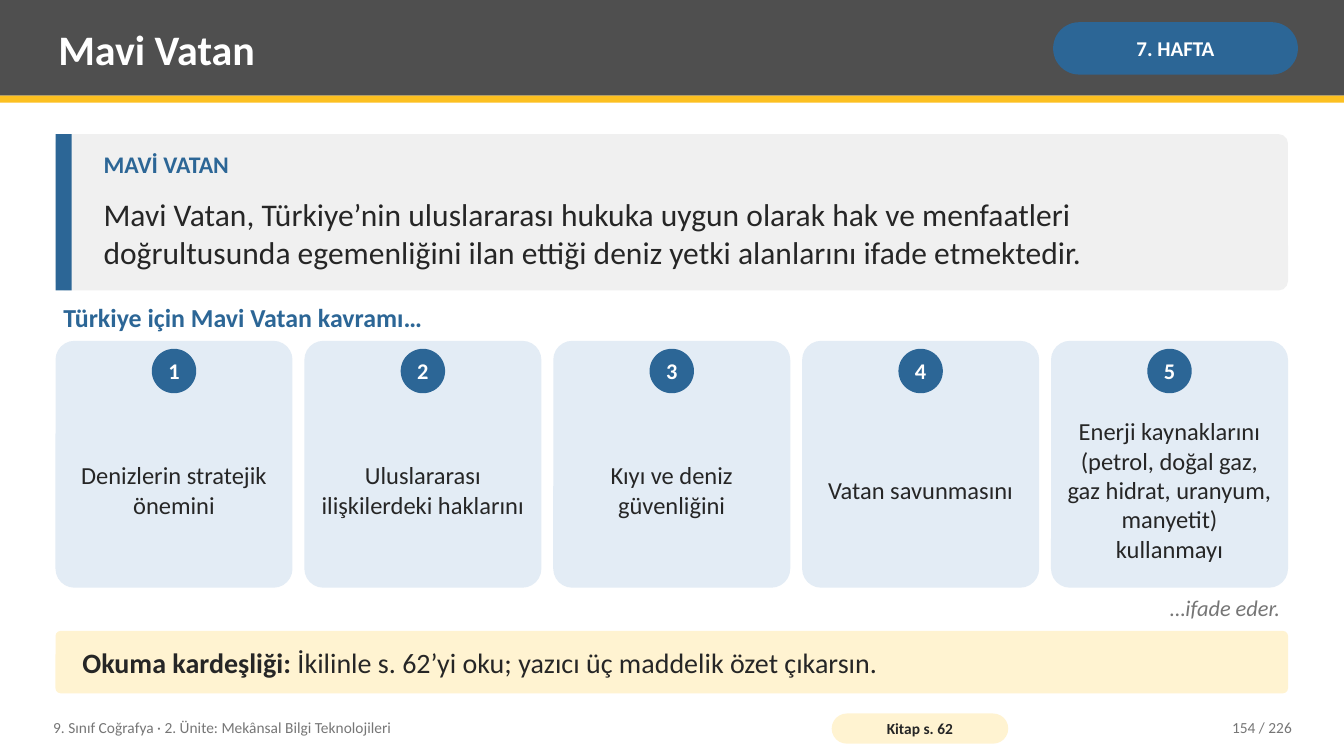
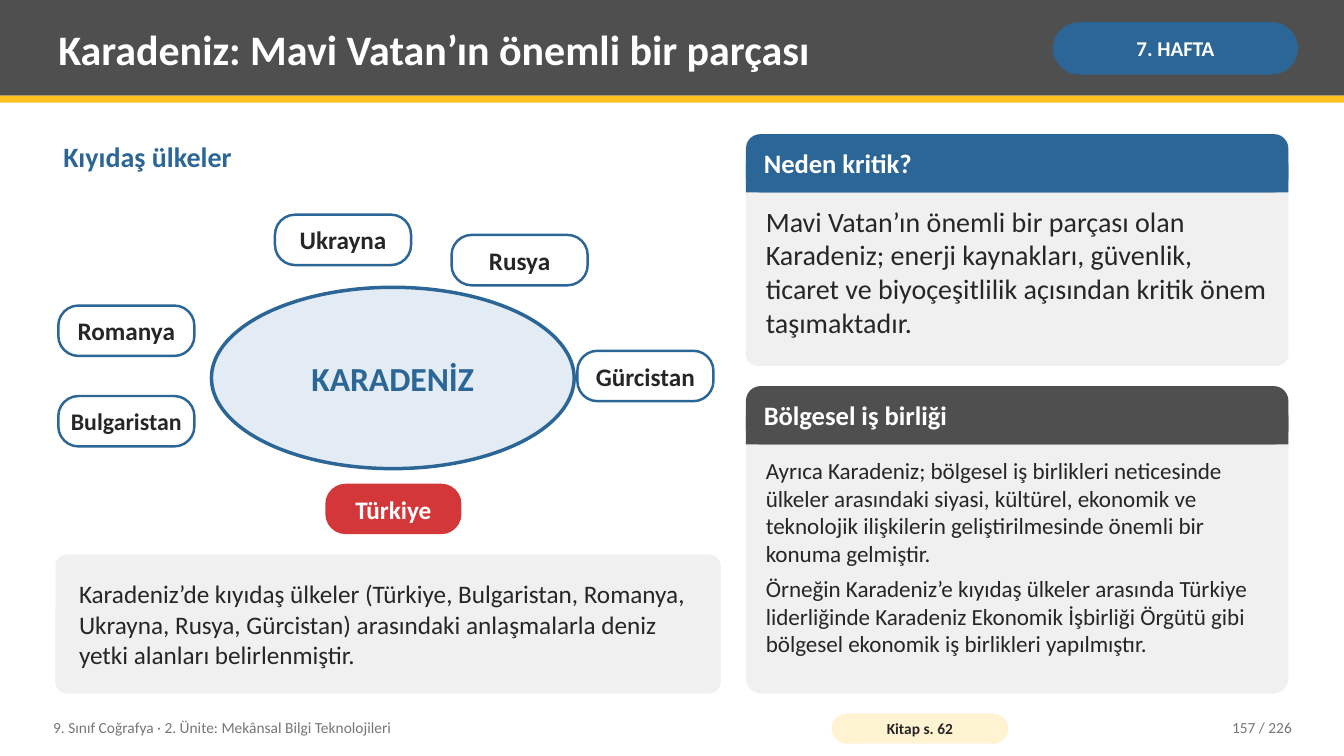
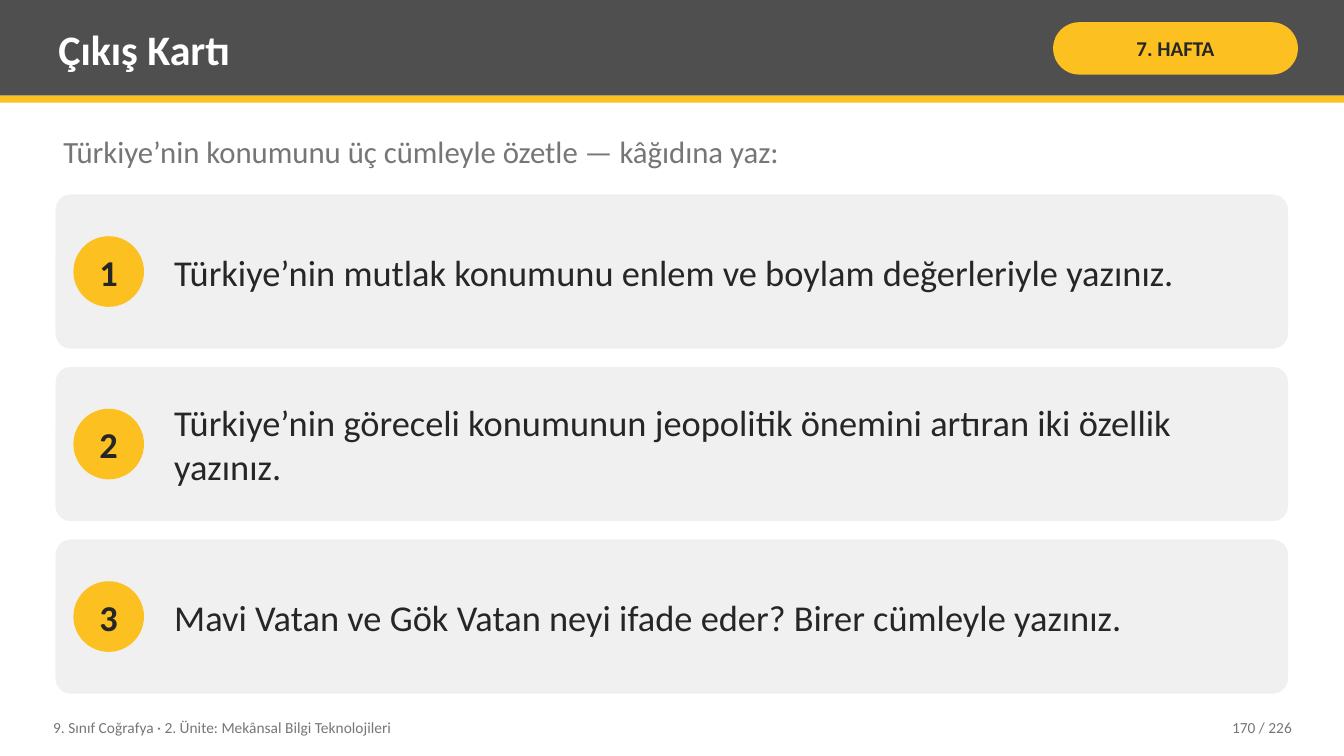
import pptx
import pptx.dml.color
import pptx.enum.shapes
import pptx.enum.text
import pptx.util

Cm = pptx.util.Cm
Pt = pptx.util.Pt
SHAPE = pptx.enum.shapes.MSO_SHAPE
ALIGN = pptx.enum.text.PP_ALIGN
ANCHOR = pptx.enum.text.MSO_ANCHOR

FONT = "Calibri"
COLORS = {
    "white": "FFFFFF",
    "ink": "262626",
    "muted": "767676",
    "charcoal": "4F4F4F",
    "blue": "2C6696",
    "pale_blue": "E3ECF5",
    "yellow": "FCC021",
    "cream": "FFF3D1",
    "gray": "F0F0F0",
    "red": "D3373A",
}
PAGE_WIDTH = 33.87
PAGE_HEIGHT = 19.05
LEFT = 1.4
WIDTH = 31.06
TOP = 3.38
BOTTOM = 17.48
PAGE_TOTAL = 226
FOOTER = "9. Sınıf Coğrafya · 2. Ünite: Mekânsal Bilgi Teknolojileri"


def color(name):
    return pptx.dml.color.RGBColor.from_string(COLORS[name])


def style_span(span, size, ink, bold=False, italic=False):
    span.font.name = FONT
    span.font.size = Pt(size)
    span.font.color.rgb = color(ink)
    span.font.bold = bold
    span.font.italic = italic


def write(box, text, size, ink="ink", bold=False, italic=False, align=ALIGN.LEFT,
          anchor=ANCHOR.MIDDLE, inset=(0.2, 0.1), wrap=True, space_after=0):
    frame = box.text_frame
    frame.text = text
    frame.word_wrap = wrap
    frame.vertical_anchor = anchor
    frame.margin_left = frame.margin_right = Cm(inset[0])
    frame.margin_top = frame.margin_bottom = Cm(inset[1])
    for para in frame.paragraphs:
        para.alignment = align
        para.space_after = Pt(space_after)
        for span in para.runs:
            style_span(span, size, ink, bold, italic)


def add_text(page, at, text, size, **style):
    box = page.shapes.add_textbox(*map(Cm, at))
    write(box, text, size, **style)


def add_block(page, at, fill, kind=SHAPE.RECTANGLE, corner=None, line=None, line_width=0):
    block = page.shapes.add_shape(kind, *map(Cm, at))
    block.shadow.inherit = False
    block.fill.solid()
    block.fill.fore_color.rgb = color(fill)
    if corner is not None:
        block.adjustments[0] = corner
    if line:
        block.line.color.rgb = color(line)
        block.line.width = Pt(line_width)
    else:
        block.line.fill.background()
    return block


def add_rounded(page, at, fill, corner, **outline):
    return add_block(page, at, fill, SHAPE.ROUNDED_RECTANGLE, corner, **outline)


def add_badge(page, left, top, side, number, size, fill, ink):
    badge = add_block(page, (left, top, side, side), fill, SHAPE.OVAL)
    write(badge, str(number), size, ink=ink, bold=True, align=ALIGN.CENTER,
          inset=(0, 0), wrap=False)


def add_page(deck, title, number, week_fill="blue", week_ink="white", book=None):
    page = deck.slides.add_slide(deck.slide_layouts[6])
    add_block(page, (0, 0, PAGE_WIDTH, 2.41), "charcoal")
    add_block(page, (0, 2.41, PAGE_WIDTH, 0.18), "yellow")
    add_text(page, (1.27, 0.18, 24.77, 2.08), title, 30, ink="white", bold=True)
    week = add_rounded(page, (26.54, 0.56, 6.17, 1.32), week_fill, 0.5)
    write(week, "7. HAFTA", 15, ink=week_ink, bold=True, align=ALIGN.CENTER,
          inset=(0.13, 0.05))
    add_text(page, (1.14, 17.88, 19.3, 0.91), FOOTER, 11, ink="muted")
    if book:
        source = add_rounded(page, (20.96, 17.98, 4.45, 0.76), "cream", 0.5)
        write(source, book, 11, bold=True, align=ALIGN.CENTER, inset=(0.1, 0))
    add_text(page, (28.7, 17.88, 4.06, 0.91), f"{number} / {PAGE_TOTAL}", 11,
             ink="muted", align=ALIGN.RIGHT)
    return page


def add_definition(page, label, text):
    height = 3.94
    add_rounded(page, (LEFT, TOP, WIDTH, height), "gray", 0.06)
    add_block(page, (LEFT, TOP, 0.41, height), "blue")
    add_text(page, (2.41, 3.68, 29.54, 1.14), label, 17, ink="blue", bold=True,
             anchor=ANCHOR.TOP)
    add_text(page, (2.41, 4.78, 29.54, 2.16), text, 22.5)


def add_cards(page, top, height, texts):
    gap, side, inset = 0.3, 1.12, 0.2
    width = (WIDTH - gap * (len(texts) - 1)) / len(texts)
    for index, text in enumerate(texts):
        left = LEFT + index * (width + gap)
        add_rounded(page, (left, top, width, height), "pale_blue", 0.08)
        add_badge(page, left + (width - side) / 2, top + inset, side, index + 1,
                  16, "blue", "white")
        add_text(page, (left + inset, top + 1.4, width - 2 * inset, 4.7), text, 17.5,
                 align=ALIGN.CENTER)


def add_note(page, lead, text):
    note = add_rounded(page, (LEFT, 15.9, WIDTH, 1.57), "cream", 0.08)
    write(note, lead, 20, bold=True, inset=(0.64, 0.2))
    span = note.text_frame.paragraphs[0].add_run()
    span.text = text
    style_span(span, 20, "ink")


def add_country(page, left, top, name, size=18, home=False):
    at = (left, top, 3.43, 1.27)
    if home:
        label = add_rounded(page, at, "red", 0.4)
    else:
        label = add_rounded(page, at, "white", 0.4, line="blue", line_width=1.75)
    write(label, name, size, ink="white" if home else "ink", bold=True,
          align=ALIGN.CENTER, inset=(0.1, 0))


def add_panel(page, top, height, fill, title, text, size, space_after=0):
    left, width, head = 18.8, 13.67, 1.47
    add_rounded(page, (left, top, width, height), "gray", 0.05)
    add_rounded(page, (left, top, width, head), fill, 0.25)
    add_block(page, (left, top + head / 2, width, head / 2), fill)
    add_text(page, (left + 0.25, top, width - 0.5, head), title, 19, ink="white", bold=True)
    add_text(page, (left + 0.3, top + head + 0.2, width - 0.6, height - head - 0.4),
             text, size, anchor=ANCHOR.TOP, space_after=space_after)


def add_questions(page, top, questions):
    gap, side = 0.46, 1.78
    height = (BOTTOM - top - gap * (len(questions) - 1)) / len(questions)
    for index, question in enumerate(questions):
        row = top + index * (height + gap)
        add_rounded(page, (LEFT, row, WIDTH, height), "gray", 0.1)
        add_badge(page, 1.85, row + (height - side) / 2, side, index + 1,
                  26, "yellow", "ink")
        add_text(page, (4.19, row, 27.76, height), question, 26)


def build_concept(deck):
    page = add_page(deck, "Mavi Vatan", 154, book="Kitap s. 62")
    add_definition(
        page, "MAVİ VATAN",
        "Mavi Vatan, Türkiye’nin uluslararası hukuka uygun olarak hak ve menfaatleri "
        "doğrultusunda egemenliğini ilan ettiği deniz yetki alanlarını ifade etmektedir.")
    add_text(page, (LEFT, 7.47, WIDTH, 1.02), "Türkiye için Mavi Vatan kavramı…", 18.5,
             ink="blue", bold=True)
    add_cards(page, 8.59, 6.22, [
        "Denizlerin stratejik önemini",
        "Uluslararası ilişkilerdeki haklarını",
        "Kıyı ve deniz güvenliğini",
        "Vatan savunmasını",
        "Enerji kaynaklarını (petrol, doğal gaz, gaz hidrat, uranyum, manyetit) kullanmayı",
    ])
    add_text(page, (LEFT, 14.88, WIDTH, 0.97), "…ifade eder.", 16, ink="muted",
             italic=True, align=ALIGN.RIGHT, anchor=ANCHOR.TOP)
    add_note(page, "Okuma kardeşliği:",
             " İkilinle s. 62’yi oku; yazıcı üç maddelik özet çıkarsın.")


def build_black_sea(deck):
    page = add_page(deck, "Karadeniz: Mavi Vatan’ın önemli bir parçası", 157,
                    book="Kitap s. 62")
    add_text(page, (LEFT, TOP, 16.51, 1.14), "Kıyıdaş ülkeler", 20, ink="blue", bold=True)
    sea = add_block(page, (5.33, 7.24, 9.14, 4.57), "pale_blue", SHAPE.OVAL,
                    line="blue", line_width=2.5)
    write(sea, "KARADENİZ", 24, ink="blue", bold=True, align=ALIGN.CENTER,
          inset=(0.36, 0.2))
    add_country(page, 6.93, 5.41, "Ukrayna")
    add_country(page, 11.38, 5.92, "Rusya")
    add_country(page, 14.55, 8.84, "Gürcistan")
    add_country(page, 8.2, 12.19, "Türkiye", home=True)
    add_country(page, 1.47, 9.98, "Bulgaristan", size=17)
    add_country(page, 1.47, 7.7, "Romanya")
    summary = add_rounded(page, (LEFT, 13.97, 16.76, 3.51), "gray", 0.08)
    write(summary,
          "Karadeniz’de kıyıdaş ülkeler (Türkiye, Bulgaristan, Romanya, Ukrayna, Rusya, "
          "Gürcistan) arasındaki anlaşmalarla deniz yetki alanları belirlenmiştir.",
          18, inset=(0.51, 0.2))
    add_panel(
        page, TOP, 5.84, "blue", "Neden kritik?",
        "Mavi Vatan’ın önemli bir parçası olan Karadeniz; enerji kaynakları, güvenlik, "
        "ticaret ve biyoçeşitlilik açısından kritik önem taşımaktadır.", 20)
    add_panel(
        page, 9.73, 7.75, "charcoal", "Bölgesel iş birliği",
        "Ayrıca Karadeniz; bölgesel iş birlikleri neticesinde ülkeler arasındaki siyasi, "
        "kültürel, ekonomik ve teknolojik ilişkilerin geliştirilmesinde önemli bir konuma "
        "gelmiştir.\n"
        "Örneğin Karadeniz’e kıyıdaş ülkeler arasında Türkiye liderliğinde Karadeniz "
        "Ekonomik İşbirliği Örgütü gibi bölgesel ekonomik iş birlikleri yapılmıştır.",
        16.5, space_after=5.2)


def build_exit_card(deck):
    page = add_page(deck, "Çıkış Kartı", 170, week_fill="yellow", week_ink="ink")
    add_text(page, (LEFT, 3.25, WIDTH, 1.4),
             "Türkiye’nin konumunu üç cümleyle özetle — kâğıdına yaz:", 22,
             ink="muted", anchor=ANCHOR.TOP)
    add_questions(page, 4.9, [
        "Türkiye’nin mutlak konumunu enlem ve boylam değerleriyle yazınız.",
        "Türkiye’nin göreceli konumunun jeopolitik önemini artıran iki özellik yazınız.",
        "Mavi Vatan ve Gök Vatan neyi ifade eder? Birer cümleyle yazınız.",
    ])


def main():
    deck = pptx.Presentation()
    deck.slide_width = Cm(PAGE_WIDTH)
    deck.slide_height = Cm(PAGE_HEIGHT)
    build_concept(deck)
    build_black_sea(deck)
    build_exit_card(deck)
    deck.save("out.pptx")


if __name__ == "__main__":
    main()
